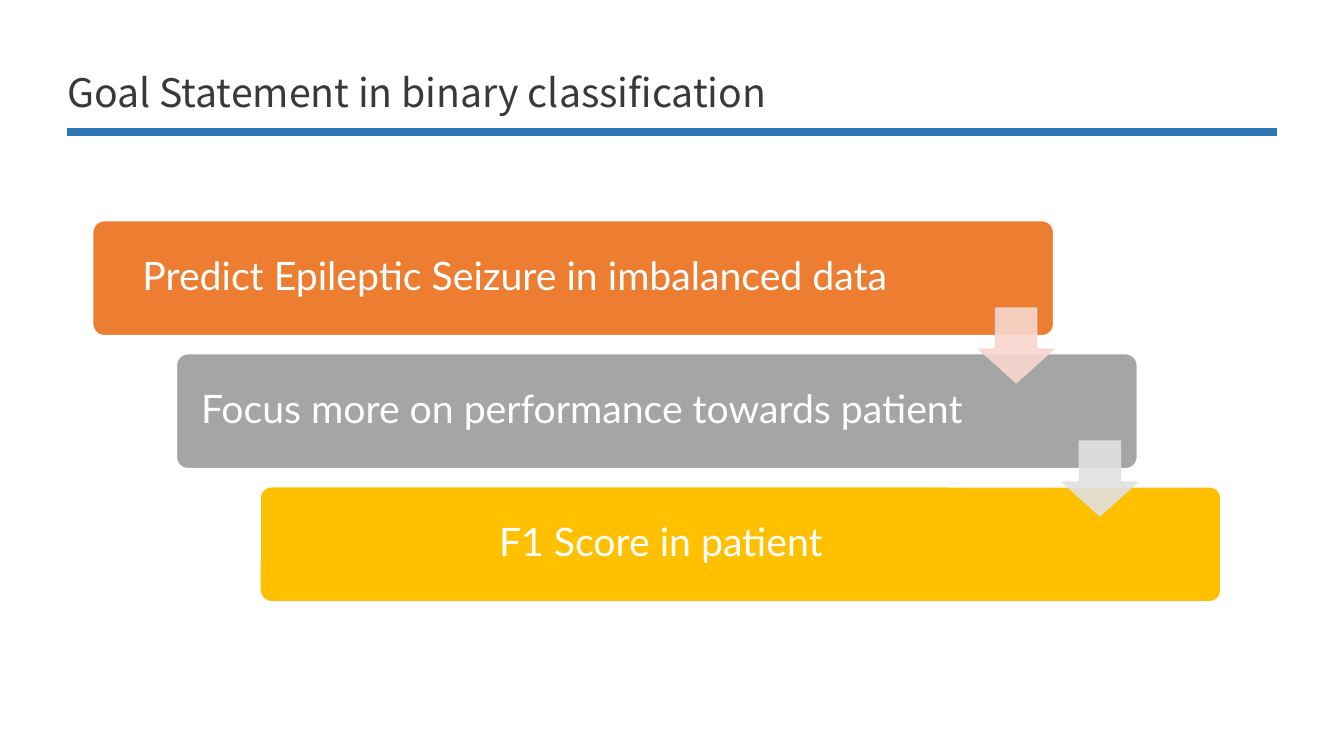
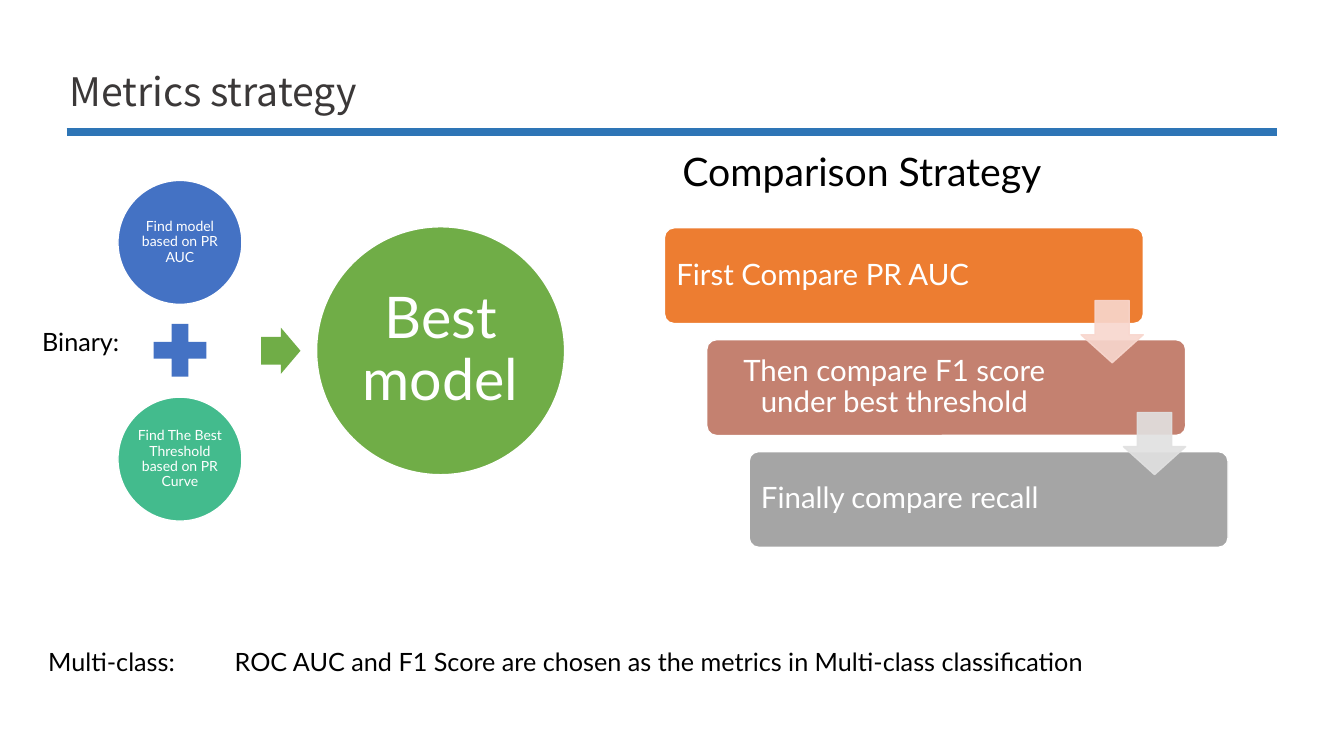
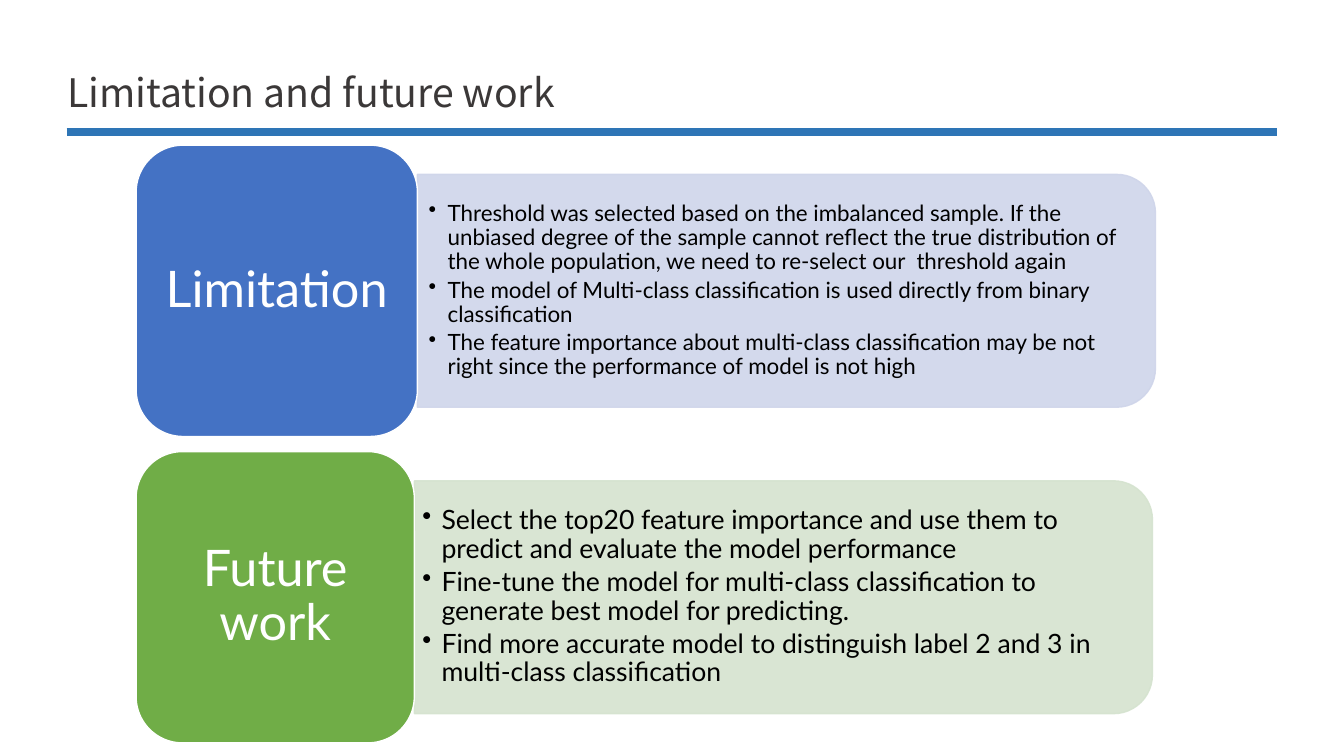
from lxml.etree import SubElement
from pptx import Presentation
from pptx.dml.color import RGBColor
from pptx.enum.shapes import MSO_CONNECTOR, MSO_SHAPE
from pptx.enum.text import MSO_ANCHOR, PP_ALIGN
from pptx.oxml.ns import qn
from pptx.util import Inches, Pt

WHITE = RGBColor(0xFF, 0xFF, 0xFF)
BLACK = RGBColor(0x00, 0x00, 0x00)
TITLE_GRAY = RGBColor(0x3B, 0x38, 0x38)
RULE_BLUE = RGBColor(0x2E, 0x75, 0xB6)
BLUE = RGBColor(0x44, 0x72, 0xC4)
GREEN = RGBColor(0x70, 0xAD, 0x47)
TEAL = RGBColor(0x43, 0xBB, 0x8D)
ORANGE = RGBColor(0xED, 0x7D, 0x31)
GRAY = RGBColor(0xA5, 0xA5, 0xA5)
YELLOW = RGBColor(0xFF, 0xC0, 0x00)
ROSE = RGBColor(0xC4, 0x81, 0x70)
PALE_ROSE = RGBColor(0xF8, 0xD7, 0xCE)
PALE_GRAY = RGBColor(0xE1, 0xE1, 0xE1)
PALE_BLUE = RGBColor(0xCF, 0xD5, 0xEA)
PALE_GREEN = RGBColor(0xD5, 0xE3, 0xCF)

TITLE_FONT = "Noto Sans CJK SC"
BODY_FONT = "Lato"
LEFT, CENTER, RIGHT = PP_ALIGN.LEFT, PP_ALIGN.CENTER, PP_ALIGN.RIGHT


class Deck:
    """Presentation style and the slide being built."""

    def __init__(self):
        self.prs = Presentation()
        self.prs.slide_width = Inches(13.33)
        self.prs.slide_height = Inches(7.5)
        self.s = None

    def slide(self, title, left=0.57, top=0.49):
        self.s = self.prs.slides.add_slide(self.prs.slide_layouts[6])
        rule = self.s.shapes.add_connector(
            MSO_CONNECTOR.STRAIGHT, Inches(0.66), Inches(1.31), Inches(12.67), Inches(1.31))
        rule.line.color.rgb = RULE_BLUE
        rule.line.width = Pt(6)
        SubElement(rule._element.spPr, qn("a:effectLst"))
        tf = self.text(title, left, top, 7.52, 0.7, 28, TITLE_GRAY, TITLE_FONT)
        tf.vertical_anchor = MSO_ANCHOR.BOTTOM

    def run(self, p, text, size, color, font=BODY_FONT):
        r = p.add_run()
        r.text = text
        r.font.size = Pt(size)
        r.font.name = font
        r.font.color.rgb = color

    def frame(self, sp, margins=(0.1, 0.05, 0.1, 0.05), anchor=MSO_ANCHOR.TOP):
        tf = sp.text_frame
        tf.word_wrap = True
        tf.vertical_anchor = anchor
        tf.margin_left, tf.margin_top, tf.margin_right, tf.margin_bottom = map(Inches, margins)
        return tf

    def text(self, text, left, top, width, height, size, color=BLACK, font=BODY_FONT):
        sp = self.s.shapes.add_textbox(*map(Inches, (left, top, width, height)))
        tf = self.frame(sp)
        self.run(tf.paragraphs[0], text, size, color, font)
        return tf

    def shape(self, kind, left, top, width, height, fill, line=None, adj=(), alpha=None):
        sp = self.s.shapes.add_shape(kind, *map(Inches, (left, top, width, height)))
        sp.shadow.inherit = False
        sp.fill.solid()
        sp.fill.fore_color.rgb = fill
        if line is None:
            sp.line.fill.background()
        else:
            sp.line.color.rgb = line
            sp.line.width = Pt(1)
        for i, value in enumerate(adj):
            sp.adjustments[i] = value
        if alpha is not None:
            for clr in sp._element.spPr.iter(qn("a:srgbClr")):
                SubElement(clr, qn("a:alpha"), val=str(alpha * 1000))
        return sp

    def label(self, sp, text, size, margins, align=CENTER):
        p = self.frame(sp, margins, MSO_ANCHOR.MIDDLE).paragraphs[0]
        p.alignment = align
        p.line_spacing = 0.9
        self.run(p, text, size, WHITE)

    def circle(self, text, left, top, diameter, fill, size, margin):
        sp = self.shape(MSO_SHAPE.OVAL, left, top, diameter, diameter, fill, WHITE)
        self.label(sp, text, size, [margin] * 4)

    def staircase(self, steps, left, top, width, height, dx, dy, size, margin):
        for i, (text, fill, align, right) in enumerate(steps):
            sp = self.shape(MSO_SHAPE.ROUNDED_RECTANGLE, left + i * dx, top + i * dy,
                            width, height, fill, WHITE, [0.1])
            self.label(sp, text, size, (margin, margin, right, margin), align)
        side = 0.65 * height
        for i, fill in enumerate((PALE_ROSE, PALE_GRAY)):
            self.shape(MSO_SHAPE.DOWN_ARROW, left + i * dx + width - side,
                       top + i * dy + 0.76 * height, side, side, fill, fill, (0.55, 0.45), 90)

    def topic(self, name, bullets, top, width, fill, pale, size, margin):
        left, height, length, depth = 1.35, 2.89, 7.32, 2.31
        edge, middle = left + width, top + height / 2
        panel = self.shape(MSO_SHAPE.ROUND_2_SAME_RECTANGLE, edge + (length - depth) / 2,
                           middle - length / 2, depth, length, pale, pale, alpha=90)
        panel.rotation = 90
        box = self.s.shapes.add_textbox(*map(Inches, (edge, middle - 1.04, 7.21, 2.08)))
        tf = self.frame(box, (margin, 0.05, margin, 0.05), MSO_ANCHOR.MIDDLE)
        for i, bullet in enumerate(bullets):
            p = tf.add_paragraph() if i else tf.paragraphs[0]
            p.line_spacing = 0.9
            p.space_after = Pt(3)
            pPr = p._p.get_or_add_pPr()
            pPr.set("marL", str(Inches(0.19)))
            pPr.set("indent", str(-Inches(0.19)))
            SubElement(pPr, qn("a:buChar"), char="•")
            self.run(p, bullet, size, BLACK)
        card = self.shape(MSO_SHAPE.ROUNDED_RECTANGLE, left, top, width, height, fill, WHITE)
        self.label(card, name, 36, (0.15, 0.07, 0.15, 0.07))


def main():
    deck = Deck()

    deck.slide("Goal Statement in binary classification")
    deck.staircase([
        ("Predict Epileptic Seizure in imbalanced data", ORANGE, CENTER, 1.28),
        ("Focus more on performance towards patient", GRAY, RIGHT, 1.7),
        ("F1 Score in patient", YELLOW, CENTER, 1.7),
    ], 0.92, 2.19, 9.53, 1.14, 0.83, 1.32, 28, 0.12)

    deck.slide("Metrics strategy", 0.59, 0.48)
    deck.circle("Find model based on PR AUC", 1.17, 1.79, 1.23, BLUE, 10, 0.01)
    deck.shape(MSO_SHAPE.MATH_PLUS, 1.43, 3.12, 0.71, 0.71, BLUE)
    deck.circle("Find The Best Threshold based on PR Curve", 1.17, 3.94, 1.23, TEAL, 10, 0.01)
    deck.shape(MSO_SHAPE.RIGHT_ARROW, 2.59, 3.25, 0.39, 0.46, GREEN, adj=(0.6, 0.5))
    deck.circle("Best model", 3.14, 2.25, 2.46, GREEN, 41, 0.06)
    deck.staircase([
        ("First Compare PR AUC", ORANGE, LEFT, 1.06),
        ("Then compare F1 score under best threshold", ROSE, CENTER, 1.12),
        ("Finally compare recall", GRAY, LEFT, 1.12),
    ], 6.59, 2.26, 4.75, 0.95, 0.42, 1.11, 21, 0.09)
    deck.text("Comparison Strategy", 6.67, 1.41, 4.69, 0.57, 28)
    deck.text("Binary:", 0.32, 3.19, 1.05, 0.4, 18)
    deck.text("Multi-class:", 0.38, 6.36, 1.49, 0.4, 18)
    deck.text("ROC AUC and F1 Score are chosen as the metrics in Multi-class classification",
              2.23, 6.36, 9.13, 0.4, 18)

    deck.slide("Limitation and future work")
    deck.topic("Limitation", [
        "Threshold was selected based on the imbalanced sample. If the unbiased degree of the "
        "sample cannot reflect the true distribution of the whole population, we need to "
        "re-select our  threshold again",
        "The model of Multi-class classification is used directly from binary classification",
        "The feature importance about multi-class classification may be not right since the "
        "performance of model is not high",
    ], 1.44, 2.79, BLUE, PALE_BLUE, 16, 0.11)
    deck.topic("Future work", [
        "Select the top20 feature importance and use them to predict and evaluate the model "
        "performance",
        "Fine-tune the model for multi-class classification to generate best model for predicting.",
        "Find more accurate model to distinguish label 2 and 3 in multi-class classification",
    ], 4.48, 2.76, GREEN, PALE_GREEN, 19, 0.08)

    deck.prs.save("out.pptx")


if __name__ == "__main__":
    main()
